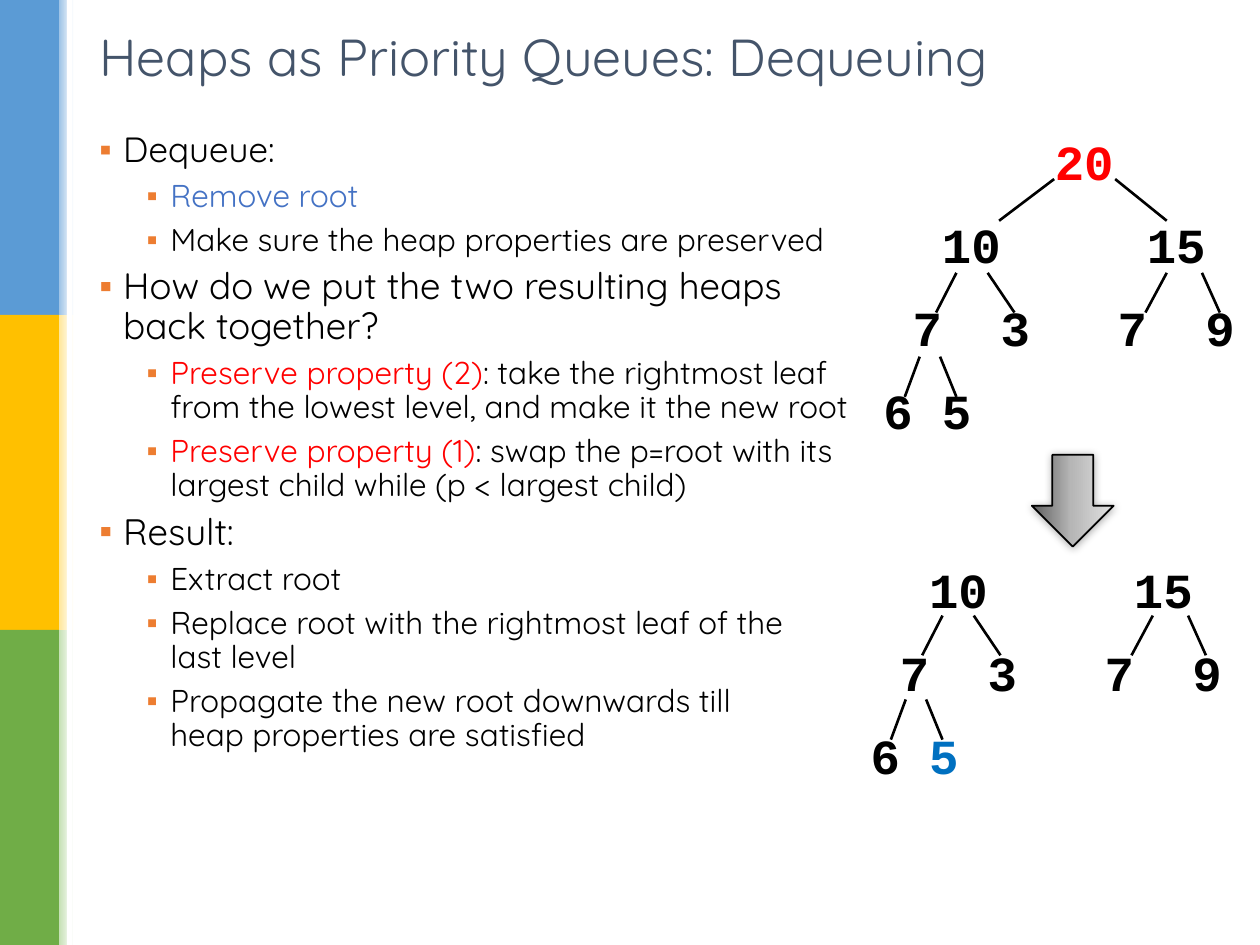
"""Build the slide on removing the root of a heap."""
import copy
import dataclasses
import typing

import lxml.etree
import pptx
import pptx.dml.color
import pptx.enum.dml
import pptx.enum.shapes
import pptx.enum.text
import pptx.oxml.ns
import pptx.util

Cm = pptx.util.Cm
Pt = pptx.util.Pt
qn = pptx.oxml.ns.qn
SHAPE = pptx.enum.shapes.MSO_SHAPE


@dataclasses.dataclass(frozen=True)
class Theme:
    sans: str = "Quicksand"
    mono: str = "Courier New"
    black: str = "000000"
    white: str = "FFFFFF"
    red: str = "FF0000"
    blue: str = "4472C4"
    leaf: str = "0070C0"
    slate: str = "44546A"
    mark: str = "ED7D31"
    bars: tuple = (("5B9BD5", "9DC3E6"), ("FFC000", "FFE699"), ("70AD47", "C5E0B4"))
    steel: tuple = ((0, "5E5E5E"), (48, "B6B6B6"), (100, "E2E2E2"))
    head: float = 29.7
    main: float = 20
    large: float = 21
    sub: float = 18
    node: float = 28


class Item(typing.NamedTuple):
    level: int
    size: float
    lead: str
    hue: str = Theme.black
    rest: str = ""


class Node(typing.NamedTuple):
    col: float
    text: str
    hue: str = Theme.black


class Edge(typing.NamedTuple):
    level: int
    start: float
    end: float


theme = Theme()
items = [
    Item(0, theme.main, "Dequeue:"),
    Item(1, theme.sub, "Remove root", theme.blue),
    Item(1, theme.sub, "Make sure the heap properties are preserved"),
    Item(0, theme.large, "How do we put the two resulting heaps \vback together?"),
    Item(1, theme.sub, "Preserve property (2)", theme.red,
         ": take the rightmost leaf from the lowest level, and make it the new root"),
    Item(1, theme.sub, "Preserve property (1)", theme.red,
         ": swap the p=root with its\vlargest child while (p < largest child)"),
    Item(0, theme.large, "Result:"),
    Item(1, theme.sub, "Extract root"),
    Item(1, theme.sub, "Replace root with the rightmost leaf of the\vlast level"),
    Item(1, theme.sub, "Propagate the new root downwards till\vheap properties are satisfied"),
]
root = [Node(6.86, "20", theme.red)]
rows = [
    [Node(3, "10"), Node(10, "15")],
    [Node(2, "7"), Node(5, "3"), Node(9, "7"), Node(12, "9")],
]
edges = [
    Edge(0, 21.25, 20.14), Edge(0, 22.48, 23.52),
    Edge(1, 19.28, 18.87), Edge(1, 23.52, 23.09),
    Edge(1, 19.91, 20.45), Edge(1, 24.23, 24.59),
    Edge(2, 18.54, 18.24), Edge(2, 18.95, 19.28),
]
spans = [(3.61, 4.45), (5.5, 6.3), (7.19, 8)]


def rgb(hue: str) -> pptx.dml.color.RGBColor:
    return pptx.dml.color.RGBColor.from_string(hue)


def add(parent, tag: str, **attrs):
    return lxml.etree.SubElement(parent, qn(tag), {k: str(v) for k, v in attrs.items()})


def style(run, face: str, size: float, hue: str, bold: bool = False) -> None:
    run.font.name = face
    run.font.size = Pt(size)
    run.font.bold = bold
    run.font.color.rgb = rgb(hue)


def place(shape, left: float, top: float, width: float, height: float) -> None:
    shape.left, shape.top, shape.width, shape.height = map(Cm, (left, top, width, height))


def block(kind, left: float, top: float, width: float, height: float, hue: str):
    shape = slide.shapes.add_shape(kind, *map(Cm, (left, top, width, height)))
    shape.shadow.inherit = False
    shape.line.fill.background()
    shape.fill.solid()
    shape.fill.fore_color.rgb = rgb(hue)
    return shape


def blend(shape, stops, angle: float) -> None:
    shape.fill.gradient()
    shape.fill.gradient_angle = angle
    group = shape.fill._fill._gradFill.find(qn("a:gsLst"))
    while len(group) < len(stops):
        group.append(copy.deepcopy(group[0]))
    for stop, (part, hue) in zip(shape.fill.gradient_stops, stops):
        stop.position = part / 100
        stop.color.rgb = rgb(hue)


def write(para, item: Item) -> None:
    para.text = item.lead
    para.level = item.level
    para.line_spacing = 0.9
    para.space_before = Pt(5.7)
    count = len(para.runs)
    for i, part in enumerate(item.rest.split("\v") if item.rest else []):
        if i:
            para.add_line_break()
        para.add_run().text = part
    for i, run in enumerate(para.runs):
        style(run, theme.sans, item.size, item.hue if i < count else theme.black)
    for gap in para._p.findall(qn("a:br")):
        gap.append(copy.deepcopy(para.runs[0]._r.find(qn("a:rPr"))))
    props = para._p.get_or_add_pPr()
    props.set("marL", str(Cm(0.48 + 0.95 * item.level)))
    props.set("indent", str(Cm(-0.48)))
    add(add(props, "a:buClr"), "a:srgbClr", val=theme.mark)
    add(props, "a:buChar", char="\u25aa")


def tree(left: float, top: float, height: float, lines: list) -> None:
    box = slide.shapes.add_textbox(*map(Cm, (left, top, 8.43, height)))
    frame = box.text_frame
    frame.word_wrap = True
    for i, nodes in enumerate(lines):
        para = frame.paragraphs[0] if i == 0 else frame.add_paragraph()
        para.space_before = Pt(13.8 if i else 0)
        stops = add(para._p.get_or_add_pPr(), "a:tabLst")
        for node in nodes:
            add(stops, "a:tab", pos=Cm(0.59 * node.col), algn="l")
            run = para.add_run()
            run.text = "\t" + node.text
            style(run, theme.mono, theme.node, node.hue, True)


def link(edge: Edge, right: float = 0, down: float = 0) -> None:
    top, base = spans[edge.level]
    line = slide.shapes.add_connector(
        pptx.enum.shapes.MSO_CONNECTOR.STRAIGHT,
        *map(Cm, (edge.start + right, top + down, edge.end + right, base + down)))
    line.line.color.rgb = rgb(theme.black)
    line.line.width = Pt(1.5)
    add(line._element.spPr, "a:effectLst")


deck = pptx.Presentation()
deck.slide_width, deck.slide_height = Cm(25.4), Cm(19.05)
slide = deck.slides.add_slide(deck.slide_layouts[1])

for i, (hue, tint) in enumerate(theme.bars):
    block(SHAPE.RECTANGLE, 0, 6.35 * i, 1.19, 6.35, hue)
    fade = block(SHAPE.RECTANGLE, 1.19, 6.35 * i, 0.3, 6.35, tint)
    blend(fade, ((0, tint), (100, theme.white)), 0)
block(SHAPE.RECTANGLE, 1.35, 0, 0.1, 19.05, theme.white)

title = slide.shapes.title
place(title, 1.75, 0.41, 20.6, 1.42)
title.text_frame.text = "Heaps as Priority Queues: Dequeuing"
title.text_frame.vertical_anchor = pptx.enum.text.MSO_ANCHOR.MIDDLE
title.text_frame.auto_size = pptx.enum.text.MSO_AUTO_SIZE.NONE
title.text_frame.paragraphs[0].alignment = pptx.enum.text.PP_ALIGN.LEFT
style(title.text_frame.paragraphs[0].runs[0], theme.sans, theme.head, theme.slate)

body = slide.placeholders[1]
place(body, 1.75, 2.54, 16.1, 15.44)
frame = body.text_frame
frame.auto_size = pptx.enum.text.MSO_AUTO_SIZE.NONE
for i, item in enumerate(items):
    write(frame.paragraphs[0] if i == 0 else frame.add_paragraph(), item)

tree(16.97, 2.52, 6.4, [root, *rows, [Node(1, "6"), Node(3, "5")]])
tree(16.71, 11.16, 4.8, [*rows, [Node(1, "6"), Node(3, "5", theme.leaf)]])
for edge in edges:
    link(edge)
    if edge.level:
        link(edge, -0.28, 6.91)

arrow = block(SHAPE.RIGHT_ARROW, 20.7, 9.27, 1.85, 1.65, theme.white)
arrow.rotation = 90
blend(arrow, theme.steel, 90)
arrow.line.color.rgb = rgb(theme.black)
arrow.line.width = Pt(1)
glow = add(arrow._element.spPr.find(qn("a:effectLst")), "a:outerShdw",
           blurRad=Pt(5), dist=Pt(1), dir=5400000, rotWithShape=0)
add(add(glow, "a:srgbClr", val=theme.black), "a:alpha", val=32000)

deck.save("out.pptx")
